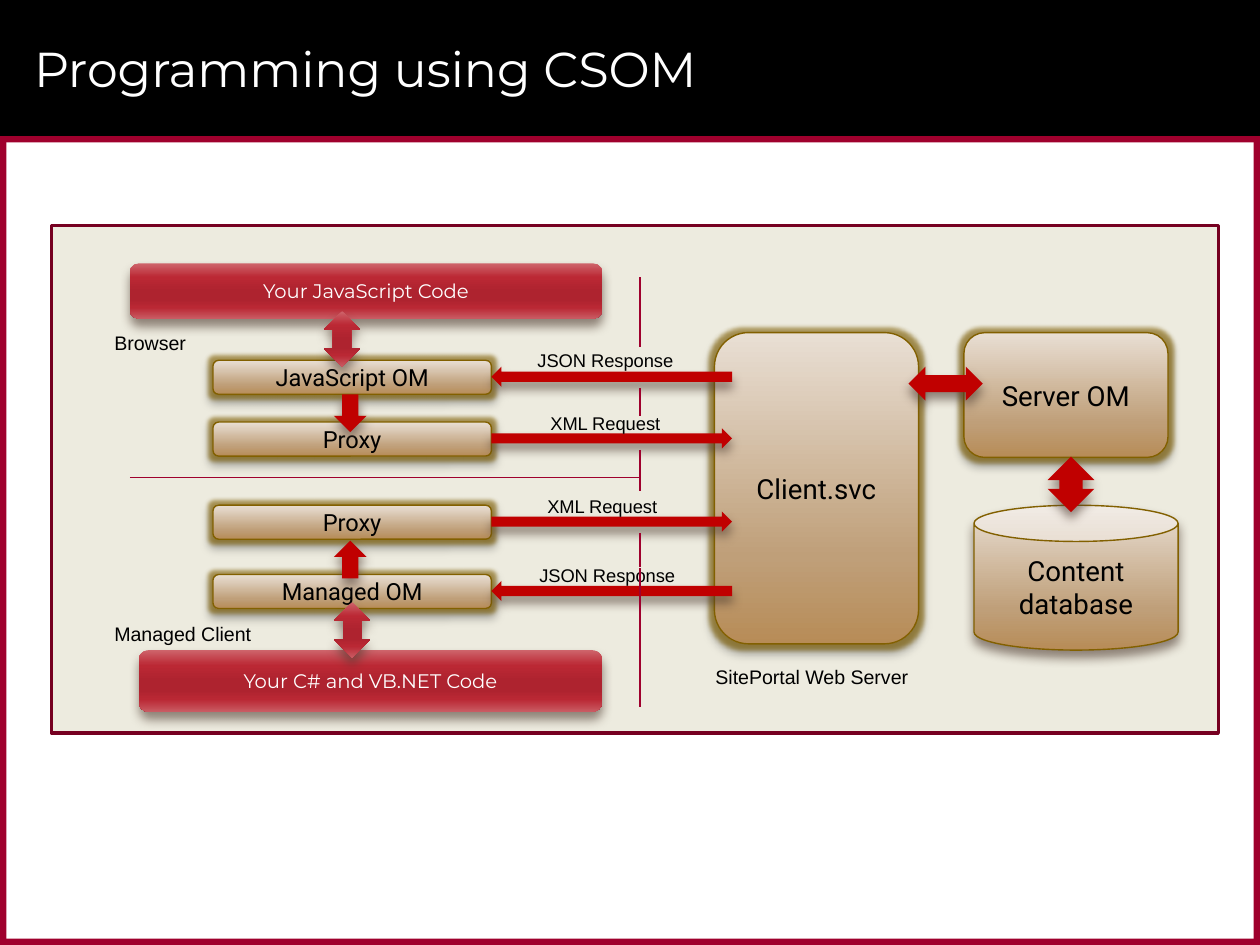
"""Build the slide that shows how client code reaches the server through CSOM."""
from dataclasses import dataclass
from typing import NamedTuple

from lxml.etree import SubElement
from pptx import Presentation
from pptx.dml.color import RGBColor
from pptx.enum.shapes import MSO_CONNECTOR as Connector, MSO_SHAPE as Kind
from pptx.enum.text import MSO_ANCHOR as Anchor, PP_ALIGN as Align
from pptx.oxml.ns import qn
from pptx.util import Inches, Pt

COLUMNS, ROWS = 100, 75
PAGE_WIDTH, PAGE_HEIGHT = Inches(10), Inches(7.5)


@dataclass(frozen=True)
class Theme:
    black: str = "000000"
    white: str = "FFFFFF"
    crimson: str = "9F002D"
    panel: str = "EDEBDF"
    panel_edge: str = "760021"
    arrow: str = "C00000"
    tan_edge: str = "826000"
    shade: str = "4E3B30"
    tan: tuple = ((0, "E9DFD4"), (72, "BF9F79"), (100, "B78C57"))
    red: tuple = ((0, "CE646B"), (25, "BB2834"), (50, "AE232F"),
                  (65, "AE232F"), (80, "BA2834"), (100, "C95B63"))
    heading: str = "Montserrat"
    body: str = "Roboto"
    label: str = "Arial"
    title_size: float = 28
    server_size: float = 15.8
    layer_size: float = 13.5
    code_size: float = 11.2
    message_size: float = 10.5


THEME = Theme()


class Area(NamedTuple):
    left: float
    top: float
    width: float
    height: float


class Shadow(NamedTuple):
    color: str
    alpha: int
    blur: float
    distance: float


class Node(NamedTuple):
    text: str
    area: Area
    size: float
    kind: Kind = Kind.ROUNDED_RECTANGLE
    glowing: bool = True


class Arrow(NamedTuple):
    area: Area
    kind: Kind = Kind.RIGHT_ARROW
    turn: int = 0
    fill: object = THEME.arrow


class Message(NamedTuple):
    text: str
    label: Area
    arrow_top: float
    turn: int


SOFT = Shadow(THEME.black, 35, 4, 3)
DEEP = Shadow(THEME.shade, 60, 6, 4)

FRAME = [
    (Area(0, 0, 100, 10.8), THEME.black),
    (Area(0, 10.8, 100, 0.5), THEME.crimson),
    (Area(0, 74.5, 100, 0.5), THEME.crimson),
    (Area(99.5, 10.8, 0.5, 64.2), THEME.crimson),
    (Area(0, 10.8, 0.5, 64.2), THEME.crimson),
]
LAYERS = [("JavaScript OM", 28.6), ("Proxy", 33.5), ("Proxy", 40.1), ("Managed OM", 45.6)]
NODES = [
    Node("Client.svc", Area(56.7, 26.4, 16.2, 24.7), THEME.server_size),
    Node("Server OM", Area(76.5, 26.4, 16.2, 9.9), THEME.server_size),
    Node("Content\ndatabase", Area(77.3, 40.1, 16.2, 11.5), THEME.server_size, Kind.CAN, False),
    *(Node(text, Area(16.9, top, 22.1, 2.7), THEME.layer_size) for text, top in LAYERS),
]
CODE = [
    ("Your C# and VB.NET Code", Area(11, 51.6, 36.8, 4.9)),
    ("Your JavaScript Code", Area(10.3, 20.9, 37.5, 4.4)),
]
MESSAGES = [
    Message("JSON Response", Area(39.7, 27.2, 16.7, 2.8), 29.1, 180),
    Message("XML Request", Area(39.7, 32.2, 16.7, 2.8), 34, 0),
    Message("XML Request", Area(39.7, 38.8, 16.2, 2.8), 40.6, 0),
    Message("JSON Response", Area(39, 44.3, 18.4, 2.8), 46.1, 180),
]
ARROWS = [
    Arrow(Area(72.1, 29.1, 5.9, 2.7), Kind.LEFT_RIGHT_ARROW),
    Arrow(Area(82.8, 36.6, 4.4, 3.7), Kind.LEFT_RIGHT_ARROW, 90),
    *(Arrow(Area(39, message.arrow_top, 19.1, 1.6), turn=message.turn) for message in MESSAGES),
    Arrow(Area(26.3, 43.1, 3, 2.6), turn=270),
    Arrow(Area(26.3, 31.5, 3, 2.6), turn=90),
    Arrow(Area(25.7, 24.7, 2.9, 4.4), Kind.UP_DOWN_ARROW, fill=THEME.red),
    Arrow(Area(26.5, 47.8, 2.9, 4.4), Kind.UP_DOWN_ARROW, fill=THEME.red),
]
PLACES = [
    ("Browser", Area(8.1, 25.8, 10.3, 2.9)),
    ("Managed Client", Area(8.1, 48.9, 18.4, 2.9)),
    ("SitePortal Web Server", Area(55.8, 52.3, 19.2, 2.9)),
]
DIVIDER = 50.8
DIVIDER_PARTS = [(22, 27.5), (30.8, 33), (35.7, 39), (42.3, 45), (45.1, 56.1)]


def across(columns: float) -> int:
    """Turn grid columns into a length."""
    return round(PAGE_WIDTH * columns / COLUMNS)


def down(rows: float) -> int:
    """Turn grid rows into a length."""
    return round(PAGE_HEIGHT * rows / ROWS)


def bounds(area: Area) -> tuple:
    """Turn a grid area into left, top, width and height."""
    return across(area.left), down(area.top), across(area.width), down(area.height)


def tint(parent, color: str, alpha: int = 100) -> None:
    """Add a colour element with its opacity."""
    node = SubElement(parent, qn("a:srgbClr"), val=color)
    SubElement(node, qn("a:alpha"), val=str(alpha * 1000))


def write(box, text: str, *, size: float, font: str, color: str = THEME.black,
          align: Align = Align.CENTER, anchor: Anchor = Anchor.MIDDLE, inset: tuple = (0.1, 0.05)) -> None:
    """Put formatted text into a box."""
    frame = box.text_frame
    frame.word_wrap, frame.vertical_anchor = True, anchor
    frame.margin_left = frame.margin_right = Inches(inset[0])
    frame.margin_top = frame.margin_bottom = Inches(inset[1])
    para = frame.paragraphs[0]
    para.alignment = align
    for index, line in enumerate(text.split("\n")):
        if index:
            para.add_line_break()
        span = para.add_run()
        span.text = line
        span.font.size, span.font.name = Pt(size), font
        span.font.color.rgb = RGBColor.from_string(color)


def paint(shape, fill) -> None:
    """Fill a shape with one colour or with a downward gradient."""
    if isinstance(fill, str):
        shape.fill.solid()
        shape.fill.fore_color.rgb = RGBColor.from_string(fill)
        return
    shape.fill.gradient()
    shape.fill.gradient_angle = 270
    stops = shape.element.spPr.find(qn("a:gradFill")).find(qn("a:gsLst"))
    stops.clear()
    for position, color in fill:
        tint(SubElement(stops, qn("a:gs"), pos=str(position * 1000)), color)


def draw(page, area: Area, fill, *, kind: Kind = Kind.RECTANGLE, edge: str = "",
         edge_width: float = 0.79, shadow: Shadow | None = None, glowing: bool = False):
    """Draw one filled shape with its outline and effects."""
    shape = page.shapes.add_shape(kind, *bounds(area))
    paint(shape, fill)
    if edge:
        shape.line.color.rgb = RGBColor.from_string(edge)
        shape.line.width = Pt(edge_width)
    else:
        shape.line.fill.background()
    shape.shadow.inherit = False
    effects = shape.element.spPr.find(qn("a:effectLst"))
    if glowing:
        tint(SubElement(effects, qn("a:glow"), rad=str(Pt(5))), THEME.tan_edge, 60)
    if shadow:
        cast = SubElement(effects, qn("a:outerShdw"), blurRad=str(Pt(shadow.blur)),
                          dist=str(Pt(shadow.distance)), dir="5400000", rotWithShape="0")
        tint(cast, shadow.color, shadow.alpha)
    return shape


def rule(page, left: float, top: float, right: float, bottom: float) -> None:
    """Draw a thin dividing line."""
    line = page.shapes.add_connector(Connector.STRAIGHT, across(left), down(top), across(right), down(bottom))
    line.line.color.rgb = RGBColor.from_string(THEME.crimson)
    line.line.width = Pt(0.79)
    SubElement(line.element.spPr, qn("a:effectLst"))


def label(page, text: str, area: Area, size: float, align: Align) -> None:
    """Add a plain text label."""
    box = page.shapes.add_textbox(*bounds(area))
    write(box, text, size=size, font=THEME.label, align=align, anchor=Anchor.TOP)


def main() -> None:
    """Build and save the deck."""
    deck = Presentation()
    deck.slide_width, deck.slide_height = PAGE_WIDTH, PAGE_HEIGHT
    page = deck.slides.add_slide(deck.slide_layouts[5])
    title = page.shapes.title
    for area, color in FRAME:
        title.element.addprevious(draw(page, area, color).element)
    title.left, title.top, title.width, title.height = bounds(Area(1.7, 0.8, 94.2, 9.2))
    write(title, "Programming using CSOM", size=THEME.title_size, font=THEME.heading,
          color=THEME.white, align=Align.LEFT)
    draw(page, Area(4.1, 17.9, 92.6, 40.3), THEME.panel, edge=THEME.panel_edge, edge_width=2)
    for node in NODES:
        box = draw(page, node.area, THEME.tan, kind=node.kind, edge=THEME.tan_edge,
                   shadow=SOFT if node.glowing else DEEP, glowing=node.glowing)
        write(box, node.text, size=node.size, font=THEME.body, inset=(0.08, 0.04))
    for text, area in CODE:
        box = draw(page, area, THEME.red, kind=Kind.ROUNDED_RECTANGLE, shadow=DEEP)
        write(box, text, size=THEME.code_size, font=THEME.heading, color=THEME.white, inset=(0.08, 0.04))
    rule(page, 10.3, 37.9, DIVIDER, 37.9)
    for arrow in ARROWS:
        draw(page, arrow.area, arrow.fill, kind=arrow.kind, shadow=DEEP).rotation = arrow.turn
    for message in MESSAGES:
        label(page, message.text, message.label, THEME.message_size, Align.CENTER)
    for top, bottom in DIVIDER_PARTS:
        rule(page, DIVIDER, top, DIVIDER, bottom)
    for text, area in PLACES:
        label(page, text, area, THEME.code_size, Align.LEFT)
    deck.save("out.pptx")


if __name__ == "__main__":
    main()
